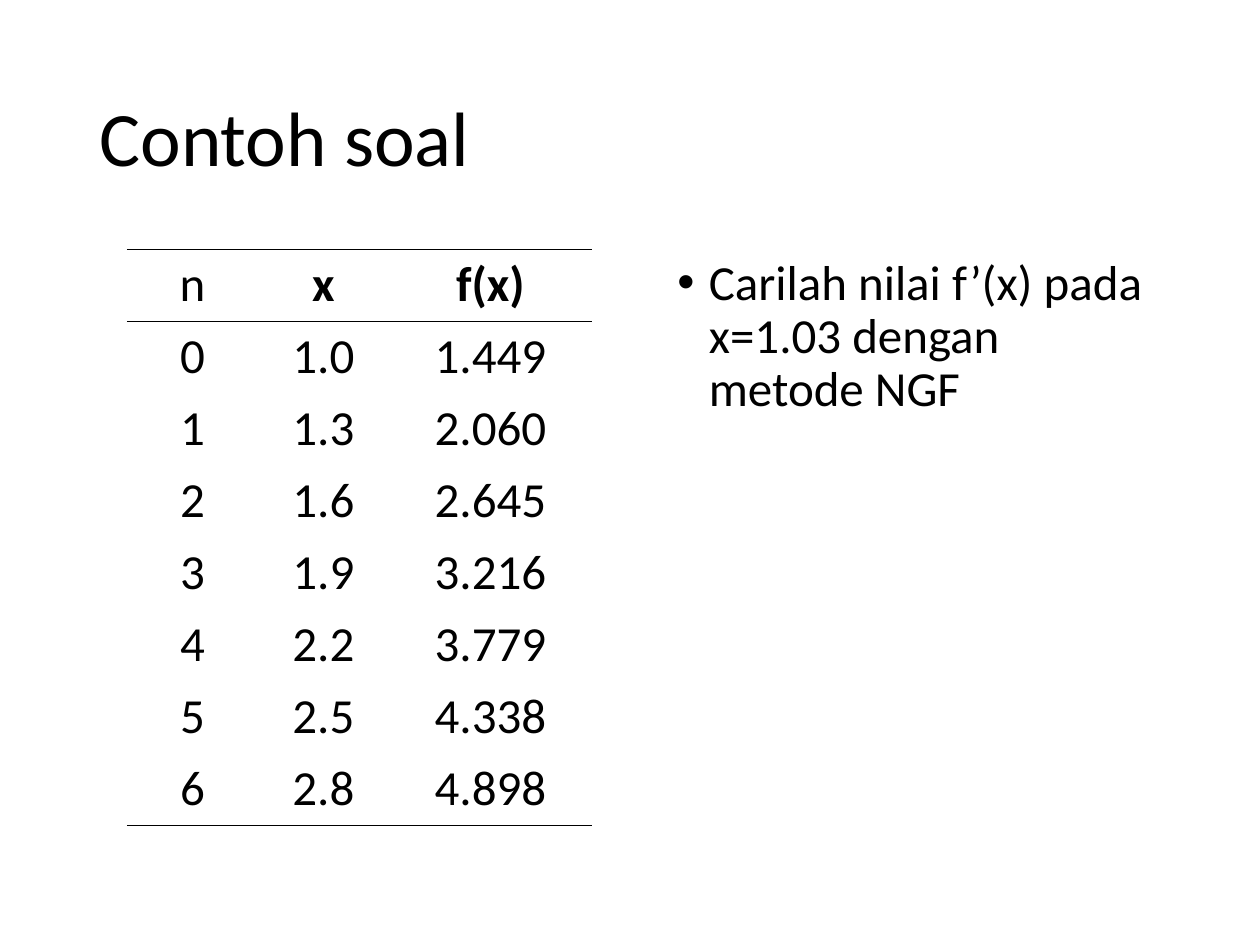
import pptx
import pptx.dml.color
import pptx.enum.text
import pptx.oxml.ns
import pptx.util
from lxml import etree

PX_PER_INCH = 126
FONT = "Calibri"
BLACK = "000000"
ROWS = [
    ("n", "x", "f(x)"),
    ("0", "1.0", "1.449"),
    ("1", "1.3", "2.060"),
    ("2", "1.6", "2.645"),
    ("3", "1.9", "3.216"),
    ("4", "2.2", "3.779"),
    ("5", "2.5", "4.338"),
    ("6", "2.8", "4.898"),
]


def px(length):
    return pptx.util.Emu(round(length * 914400 / PX_PER_INCH))


def color(code):
    return pptx.dml.color.RGBColor.from_string(code)


def add_span(para, text, size, bold=False):
    span = para.add_run()
    span.text = text
    span.font.name = FONT
    span.font.size = pptx.util.Pt(size)
    span.font.bold = bold
    span.font.color.rgb = color(BLACK)


def add_element(parent, tag, **attributes):
    return etree.SubElement(parent, pptx.oxml.ns.qn(tag), attributes)


def add_text_box(page, box, text, size, anchor):
    frame = page.shapes.add_textbox(*map(px, box)).text_frame
    frame.word_wrap = True
    frame.vertical_anchor = anchor
    para = frame.paragraphs[0]
    para.line_spacing = 0.9
    add_span(para, text, size)
    return para


def add_title(page, box):
    add_text_box(page, box, "Contoh soal", 44, pptx.enum.text.MSO_ANCHOR.MIDDLE)


def add_question(page, box):
    para = add_text_box(page, box, "Carilah nilai f’(x) pada x=1.03 dengan metode NGF",
                        28, pptx.enum.text.MSO_ANCHOR.TOP)
    para.space_before = pptx.util.Pt(10)
    # Hanging bullet
    indent = pptx.util.Inches(0.25)
    settings = para._p.get_or_add_pPr()
    settings.set("marL", str(indent))
    settings.set("indent", str(-indent))
    bullet_color = add_element(settings, "a:buClr")
    add_element(bullet_color, "a:srgbClr", val=BLACK)
    add_element(settings, "a:buFont", typeface="Arial")
    add_element(settings, "a:buChar", char="•")


def set_borders(cell, ruled_sides):
    settings = cell._tc.get_or_add_tcPr()
    for side in "LRTB":
        width = str(pptx.util.Pt(0.45))
        line = add_element(settings, f"a:ln{side}", w=width)
        if side in ruled_sides:
            fill = add_element(line, "a:solidFill")
            add_element(fill, "a:srgbClr", val=BLACK)
        else:
            add_element(line, "a:noFill")


def add_value_table(page, box, column_widths):
    table = page.shapes.add_table(len(ROWS), len(column_widths), *map(px, box)).table
    table.first_row = False
    table.horz_banding = False
    for column, width in zip(table.columns, column_widths):
        column.width = px(width)
    # Rules above and below the header, and below the last row
    ruled_sides = {0: "TB", 1: "T", len(ROWS) - 1: "B"}
    for r, values in enumerate(ROWS):
        table.rows[r].height = px(box[3] // len(ROWS))
        for c, value in enumerate(values):
            cell = table.cell(r, c)
            set_borders(cell, ruled_sides.get(r, ""))
            cell.fill.background()
            para = cell.text_frame.paragraphs[0]
            para.alignment = pptx.enum.text.PP_ALIGN.CENTER
            add_span(para, value, 28, bold=r == 0 and c > 0)


def main():
    deck = pptx.Presentation()
    deck.slide_width = px(1260)
    deck.slide_height = px(945)
    page = deck.slides.add_slide(deck.slide_layouts[6])
    add_title(page, (87, 50, 1087, 183))
    add_value_table(page, (127, 249, 465, 576), (131, 131, 203))
    add_question(page, (665, 252, 508, 534))
    deck.save("out.pptx")


if __name__ == "__main__":
    main()
